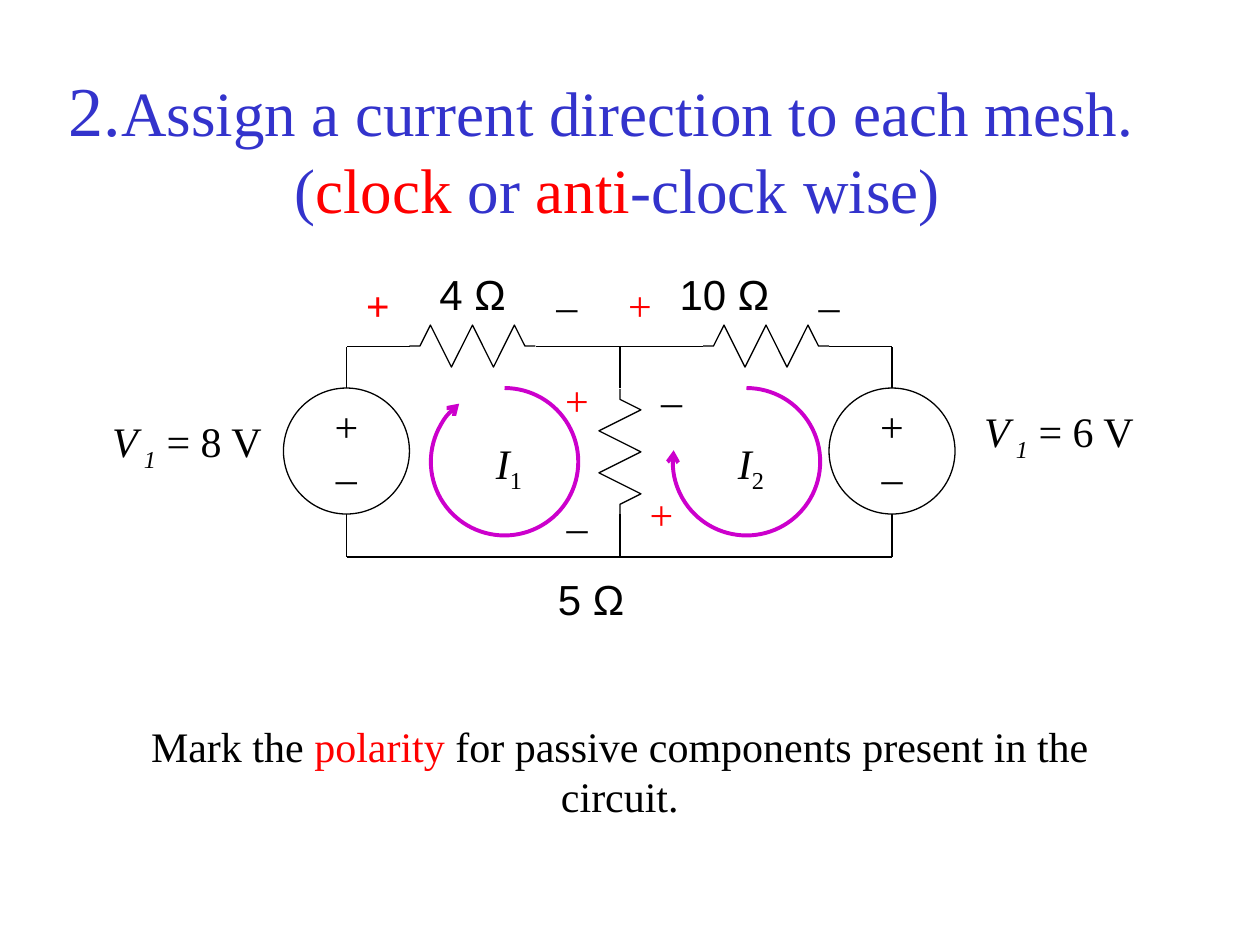
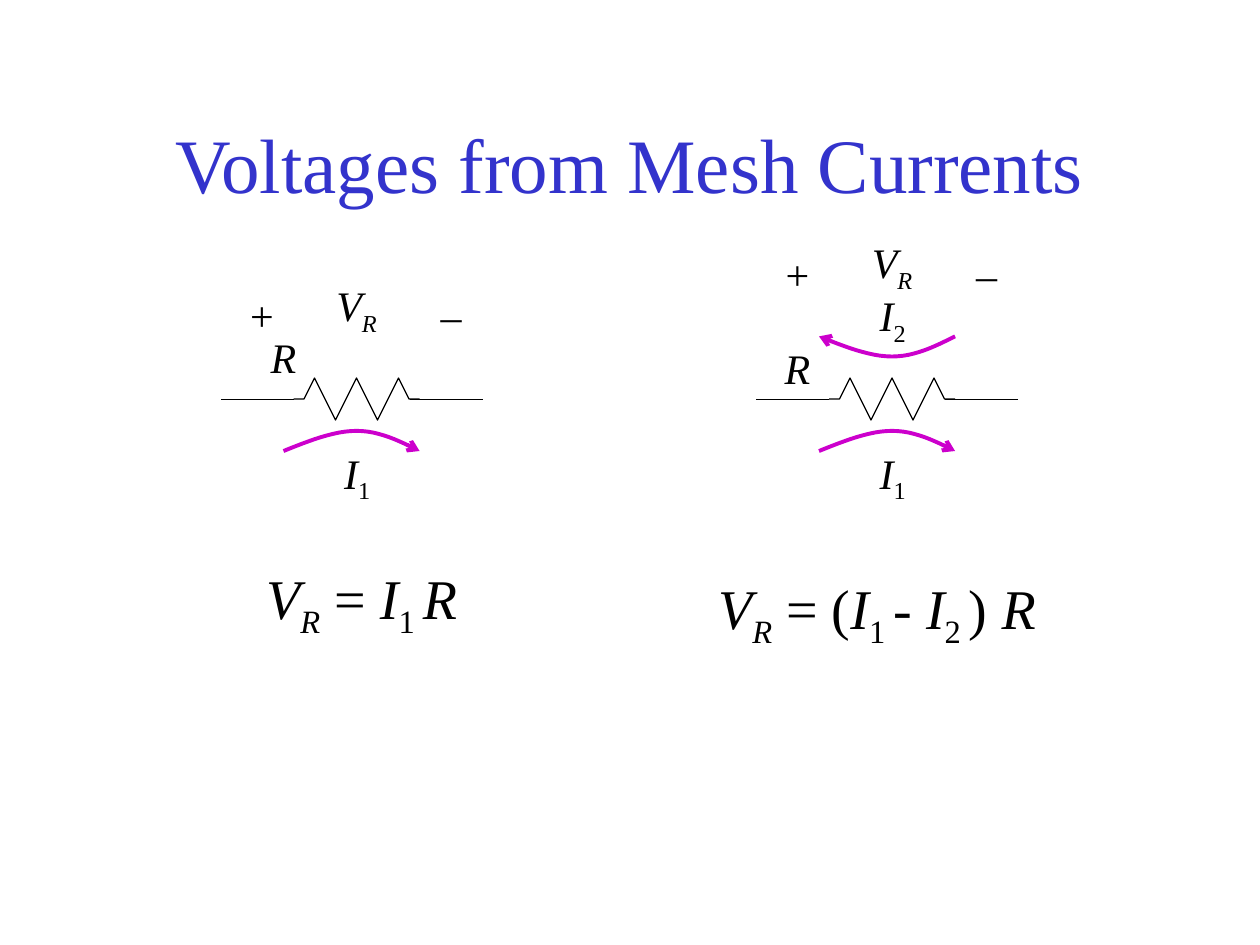
from lxml import etree
from pptx import Presentation
from pptx import util as u
from pptx.dml.color import RGBColor
from pptx.enum import shapes, text
from pptx.oxml.ns import qn

COLORS = {"title": "3333CC", "ink": "000000", "accent": "FF0000", "current": "CC00CC"}
SERIF, SANS = "Times New Roman", "Arial"
CENTER, LEFT, RIGHT = text.PP_ALIGN.CENTER, text.PP_ALIGN.LEFT, text.PP_ALIGN.RIGHT


def write(paragraph, runs, size=24, color="ink", font=SERIF, align=CENTER):
    """Runs are (words, marks): i italic, b bold, s subscript, r accent colour."""
    paragraph.alignment = align
    for words, marks in runs:
        run = paragraph.add_run()
        run.text = words
        run.font.size = u.Pt(size)
        run.font.name = font
        run.font.italic = "i" in marks
        run.font.bold = "b" in marks
        run.font.color.rgb = RGBColor.from_string(COLORS["accent" if "r" in marks else color])
        if "s" in marks:
            run._r.get_or_add_rPr().set("baseline", "-25000")


def outline(shape, color="ink", width=0.75, arrow=None):
    """Plain line without shadow; arrow is headEnd or tailEnd."""
    shape.line.color.rgb = RGBColor.from_string(COLORS[color])
    shape.line.width = u.Pt(width)
    properties = shape._element.spPr
    if arrow:
        etree.SubElement(properties.find(qn("a:ln")), qn("a:" + arrow), type="arrow")
    etree.SubElement(properties, qn("a:effectLst"))


deck = Presentation()
deck.slide_width, deck.slide_height = u.Inches(10), u.Inches(7.5)
mesh = deck.slides.add_slide(deck.slide_layouts[5])
voltages = deck.slides.add_slide(deck.slide_layouts[5])

# Titles: each line is a list of runs with their size
titles = [
    (mesh, (0.25, 0.5, 9.17, 1.33), [
        [("2.", "", 40), ("Assign a current direction to each mesh. ", "", 36)],
        [(" (", "", 36), ("clock", "r", 36), (" or ", "", 36), ("anti", "r", 36),
         ("-clock wise)", "", 36)]]),
    (voltages, (0.75, 0.67, 8.5, 1.25), [[("Voltages from Mesh Currents", "", 44)]]),
]
for slide, box, lines in titles:
    heading = slide.shapes.title
    heading.left, heading.top, heading.width, heading.height = map(u.Inches, box)
    frame = heading.text_frame
    frame.word_wrap = True
    frame.auto_size = text.MSO_AUTO_SIZE.NONE
    frame.vertical_anchor = text.MSO_ANCHOR.MIDDLE
    for number, line in enumerate(lines):
        if number:
            frame.paragraphs[0].add_line_break()
        for words, marks, size in line:
            write(frame.paragraphs[0], [(words, marks)], size, "title")

# Wires
wires = [
    (mesh, 4.92, 3.08, 4.92, 2.75), (mesh, 4.92, 4.08, 4.92, 4.42),
    (mesh, 5.58, 2.75, 4.25, 2.75), (mesh, 7.08, 4.42, 2.75, 4.42),
    (mesh, 2.75, 2.75, 3.25, 2.75), (mesh, 6.58, 2.75, 7.08, 2.75),
]
for source_x in (2.75, 7.08):
    wires += [(mesh, source_x, 3.08, source_x, 2.75), (mesh, source_x, 4.42, source_x, 4.08)]
for start in (1.75, 6):
    wires += [(voltages, start + 0.58, 3.17, start, 3.17),
              (voltages, start + 2.08, 3.17, start + 1.5, 3.17)]
for slide, *ends in wires:
    outline(slide.shapes.add_connector(shapes.MSO_CONNECTOR.STRAIGHT, *map(u.Inches, ends)))

# Resistors: a zigzag one inch long on a grid of twelfths
zigzag = list(zip((0, 1, 2, 4, 6, 8, 10, 11, 12), (1, 1, 0, 2, 0, 2, 0, 1, 1)))
for slide, left, top, turn in [(mesh, 5.58, 2.58, 0), (mesh, 3.25, 2.58, 0), (mesh, 4.42, 3.42, 90),
                               (voltages, 2.33, 3, 0), (voltages, 6.58, 3, 0)]:
    corners = [(u.Inches(left + x / 12), u.Inches(top + y / 6)) for x, y in zigzag]
    pen = slide.shapes.build_freeform(*corners[0])
    pen.add_line_segments(corners[1:], close=False)
    resistor = pen.convert_to_shape()
    resistor.fill.background()
    resistor.rotation = turn
    outline(resistor)

# Voltage sources
for left in (6.58, 2.25):
    source = mesh.shapes.add_shape(shapes.MSO_SHAPE.OVAL, u.Inches(left), u.Inches(3.08),
                                   u.Inches(1), u.Inches(1))
    source.fill.background()
    outline(source)
    frame = source.text_frame
    frame.word_wrap = False
    frame.vertical_anchor = text.MSO_ANCHOR.MIDDLE
    write(frame.paragraphs[0], [("+", "")])
    write(frame.add_paragraph(), [("–", "")])

# Mesh current loops, clockwise from the top to an end angle in degrees
for left, end_angle in ((3.42, 232), (5.34, 189)):
    loop = mesh.shapes.add_shape(shapes.MSO_SHAPE.ARC, u.Inches(left), u.Inches(3.08),
                                 u.Inches(1.17), u.Inches(1.17))
    loop.adjustments[0] = 270 * 0.6
    loop.adjustments[1] = end_angle * 0.6
    loop.fill.background()
    outline(loop, "current", 2.25, "tailEnd")

# Currents through the single resistors: two Bezier halves each
halves = [((0, 1), (0.2, 0.5), (0.4, 0), (0.58, 0)), ((0.58, 0), (0.76, 0), (0.92, 0.5), (1.08, 1))]
steps = [step / 12 for step in range(13)]
for left, base, rise, arrow in ((2.25, 3.58, -0.16, "tailEnd"), (6.5, 3.58, -0.16, "tailEnd"),
                                (6.5, 2.67, 0.16, "headEnd")):
    curve = []
    for half in halves:
        for t in steps:
            weights = ((1 - t) ** 3, 3 * t * (1 - t) ** 2, 3 * t * t * (1 - t), t ** 3)
            x = sum(w * point[0] for w, point in zip(weights, half))
            y = sum(w * point[1] for w, point in zip(weights, half))
            curve.append((u.Inches(left + x), u.Inches(base + rise * (1 - y))))
    pen = voltages.shapes.build_freeform(*curve[0])
    pen.add_line_segments(curve[1:], close=False)
    current = pen.convert_to_shape()
    current.fill.background()
    outline(current, "current", 2.25, arrow)

# Labels: slide, box, runs, size, font, alignment, space before
labels = []
for left, top, ohms, align in ((5.25, 2.08, "10 Ω", CENTER), (3.25, 2.08, "4 Ω", CENTER),
                               (4.33, 4.5, "5 Ω", LEFT)):
    labels.append((mesh, (left, top, 1, 0.5), [(ohms, "")], 24, SANS, align, 15))
for left, top, volts in ((0.75, 3.25, " = 8 V "), (7.67, 3.17, " = 6 V ")):
    labels.append((mesh, (left, top, 1.42, 0.56), [("V", "i"), (" 1", "is"), (volts, "")],
                   24, SERIF, RIGHT, 15))
for slide, left, top, width, index in (
        (mesh, 3.75, 3.42, 0.58, "1"), (mesh, 5.67, 3.42, 0.58, "2"),
        (voltages, 2.5, 3.5, 0.67, "1"), (voltages, 6.75, 3.5, 0.67, "1"),
        (voltages, 6.75, 2.25, 0.67, "2")):
    labels.append((slide, (left, top, width, 0.56), [("I", "i"), (index, "s")], 24, SERIF, CENTER, 15))
for slide, left, top, sign, marks in (
        (mesh, 2.75, 2.17, "+", "rb"), (mesh, 4.25, 2.17, "–", ""),
        (mesh, 4.83, 2.17, "+", "r"), (mesh, 6.33, 2.17, "–", ""),
        (mesh, 4.33, 2.92, "+", "r"), (mesh, 4.33, 3.92, "–", ""),
        (mesh, 5, 3.83, "+", "r"), (mesh, 5.08, 2.92, "–", ""),
        (voltages, 1.83, 2.25, "+", ""), (voltages, 3.33, 2.25, "–", ""),
        (voltages, 6.08, 1.92, "+", ""), (voltages, 7.58, 1.92, "–", "")):
    labels.append((slide, (left, top, 0.5, 0.5), [(sign, marks)], 24, SERIF, CENTER, 15))
for left, top in ((1.75, 2.58), (5.83, 2.67)):
    labels.append((voltages, (left, top, 1, 0.5), [("R", "i")], 24, SERIF, CENTER, 15))
drop = [("V", "i"), ("R", "is")]
for left, top in ((2.33, 2.17), (6.58, 1.83)):
    labels.append((voltages, (left, top, 1, 0.56), drop, 24, SERIF, CENTER, 15))
labels += [
    (mesh, (0.92, 5.67, 8, 0.9),
     [("Mark the ", ""), ("polarity", "r"), (" for passive components present in the circuit.", "")],
     24, SERIF, CENTER, 0),
    (voltages, (1.58, 4.42, 2.58, 0.71),
     drop + [(" = ", ""), ("I", "i"), ("1 ", "s"), ("R", "i")], 32, SERIF, CENTER, 20),
    (voltages, (5.5, 4.5, 2.92, 0.71),
     drop + [(" = (", ""), ("I", "i"), ("1 ", "s"), ("- ", ""), ("I", "i"), ("2 ", "s"),
             (") ", ""), ("R", "i")], 32, SERIF, CENTER, 20),
]
for slide, box, runs, size, font, align, before in labels:
    frame = slide.shapes.add_textbox(*map(u.Inches, box)).text_frame
    frame.word_wrap = True
    frame.auto_size = text.MSO_AUTO_SIZE.SHAPE_TO_FIT_TEXT
    frame.paragraphs[0].space_before = u.Pt(before)
    write(frame.paragraphs[0], runs, size, font=font, align=align)

deck.save("out.pptx")
